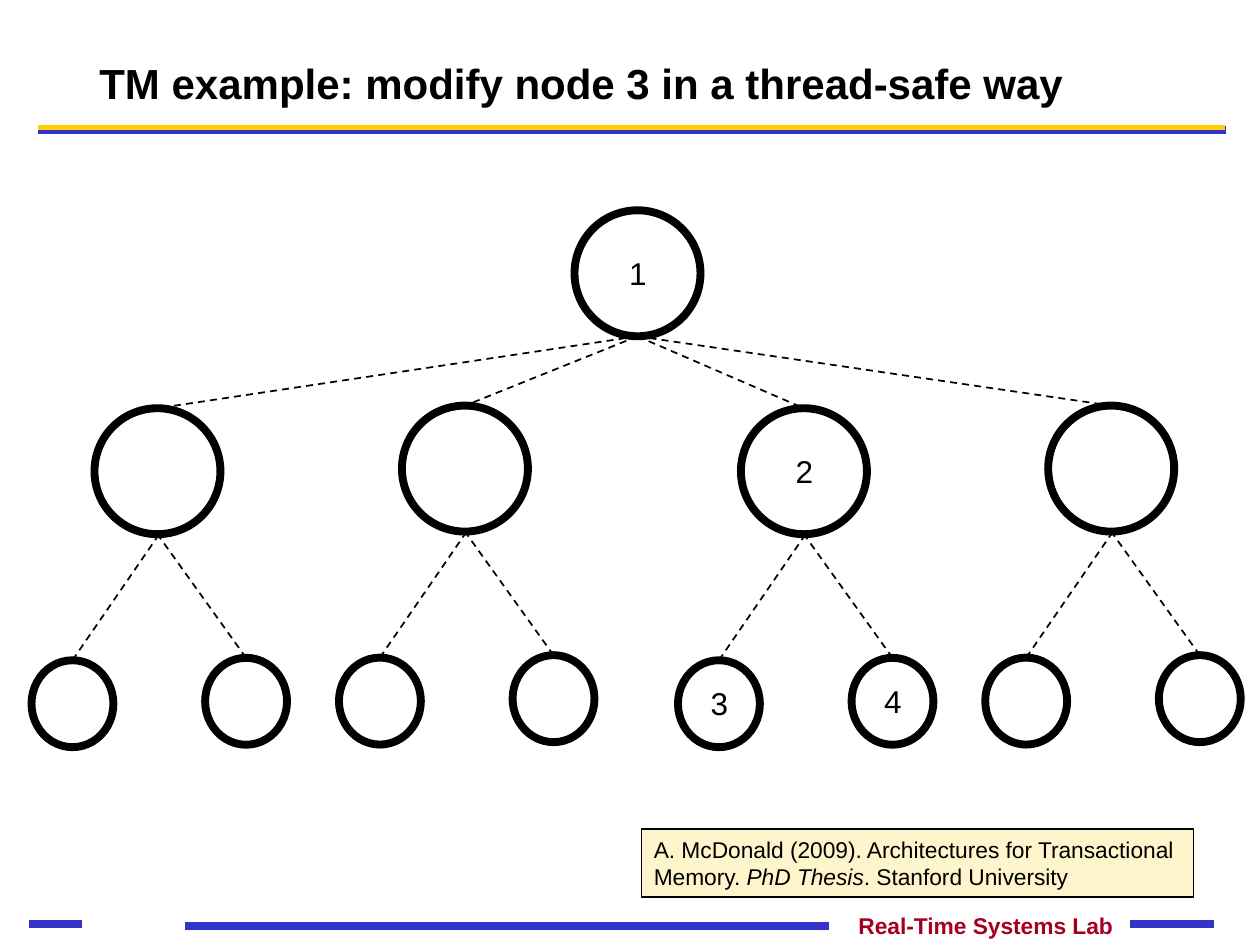
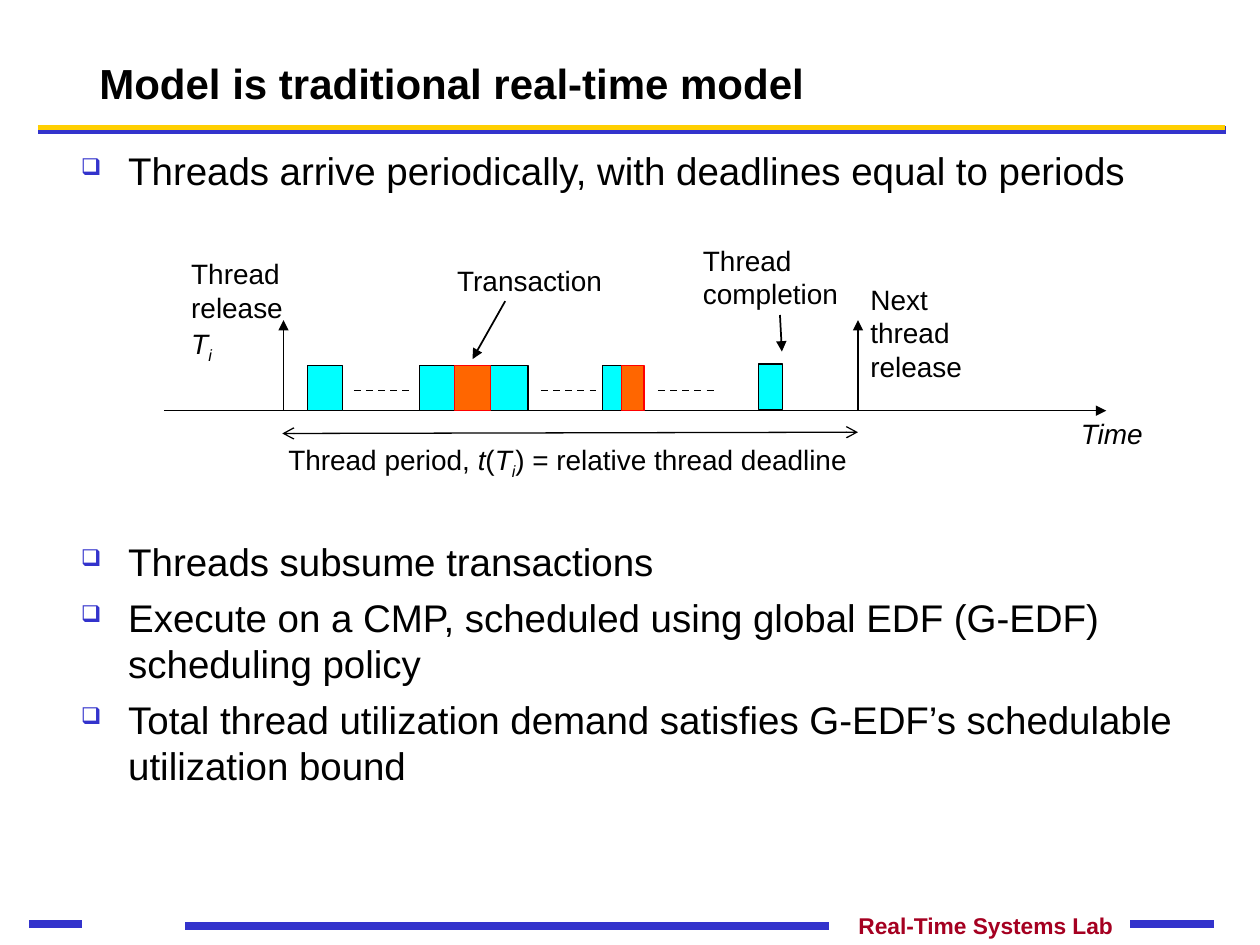
from dataclasses import dataclass

import lxml.etree
import pptx
import pptx.dml.color
import pptx.enum.dml
import pptx.enum.shapes
import pptx.enum.text
import pptx.oxml.ns
import pptx.util

Pt = pptx.util.Pt
Align = pptx.enum.text.PP_ALIGN
Anchor = pptx.enum.text.MSO_ANCHOR
Preset = pptx.enum.shapes.MSO_SHAPE
qn = pptx.oxml.ns.qn

FONT = "Arial"
LINE_PITCH = 1.2
COLORS = {
    "text": "000000", "bar": "3333CC", "rule": "FFCF01", "lab": "A50021",
    "note": "FFF5CC", "run": "00FFFF", "transaction": "FF6600",
    "transaction edge": "FF0000",
}


@dataclass(frozen=True)
class Span:
    text: str
    italic: bool = False
    subscript: bool = False


@dataclass(frozen=True)
class Line:
    x1: float
    y1: float
    x2: float
    y2: float
    color: str = "text"
    width: float = 1
    dashed: bool = False
    head: str = ""
    tail: str = ""


@dataclass(frozen=True)
class Segment:
    """A stretch of execution on the timeline."""
    left: float
    width: float
    kind: str = "run"
    top: float = 208.8


@dataclass(frozen=True)
class Label:
    left: float
    top: float
    width: float
    height: float
    paragraphs: list


@dataclass(frozen=True)
class Subtree:
    left: float
    top: float
    names: tuple = ("", "", "")


FRAME_LINES = [
    Line(21.6, 74.2, 700.5, 74.2, "bar", 4.5),
    Line(105.8, 529.2, 473.8, 529.2, "bar", 4.5),
    Line(645.8, 527.8, 694, 527.8, "bar", 4.5),
    Line(21.6, 72.7, 700, 72.7, "rule", 3),
    Line(16.6, 527.8, 46.8, 527.8, "bar", 4.5),
]

NODE = 72
LEAF_WIDTH, LEAF_HEIGHT = 46.8, 49.7
ROOT_LEFT, ROOT_TOP = 328.3, 120.2
SUBTREES = [
    Subtree(54, 233.3),
    Subtree(229.7, 231.8),
    Subtree(423.4, 233.3, ("2", "3", "4")),
    Subtree(599, 231.8),
]

AXIS = 234.7
ARROW_TOP = 182.9
RELEASE, NEXT_RELEASE = 162, 490.3
TIMELINE = [
    Line(93.6, AXIS, 632.2, AXIS, width=0.75, tail="triangle"),
    Line(RELEASE, AXIS, RELEASE, ARROW_TOP, tail="triangle"),
    Line(NEXT_RELEASE, AXIS, NEXT_RELEASE, ARROW_TOP, tail="triangle"),
    Line(445.7, 180, 446.8, 200.9, tail="triangle"),
    Line(288.7, 172.1, 270, 205.2, tail="triangle"),
    Line(161.3, 247.7, NEXT_RELEASE, 247, width=0.75, head="arrow", tail="arrow"),
    *(Line(x, 223.2, x + 32.2, 223.2, dashed=True) for x in (202.2, 309.1, 376)),
]
SEGMENTS = [
    Segment(175.7, 20.2),
    Segment(239.8, 61.9),
    Segment(259.9, 20.2, "transaction"),
    Segment(344.2, 10.8),
    Segment(355, 13, "transaction"),
    Segment(433.4, 13.7, top=208.1),
]
THREAD = [Span("T", italic=True), Span("i", italic=True, subscript=True)]
LABELS = [
    Label(102.2, 143.3, 74, 90.7, ["Thread release", THREAD]),
    Label(394.6, 135.4, 101.5, 46, ["Thread completion"]),
    Label(490.3, 157.7, 76.3, 65, ["Next thread release"]),
    Label(610.6, 234.7, 56, 26.6, [[Span("Time", italic=True)]]),
    Label(254.2, 146.9, 108, 26.6, ["Transaction"]),
    Label(157.7, 251.9, 349.2, 29.5, [[
        Span("Thread period, "), Span("t", italic=True), Span("("), *THREAD,
        Span(") = relative thread deadline")]]),
]


def rgb(name: str) -> pptx.dml.color.RGBColor:
    return pptx.dml.color.RGBColor.from_string(COLORS[name])


def add_bullet(para) -> None:
    properties = para._p.get_or_add_pPr()
    properties.set("marL", str(Pt(27)))
    properties.set("indent", str(-Pt(27)))
    color = lxml.etree.SubElement(properties, qn("a:buClr"))
    lxml.etree.SubElement(color, qn("a:srgbClr"), val=COLORS["bar"])
    lxml.etree.SubElement(properties, qn("a:buSzPct"), val="60000")
    lxml.etree.SubElement(properties, qn("a:buChar"), char="❑")


def write(box, paragraphs: list, *, size: float, color: str = "text",
          bold: bool = False, align=Align.LEFT, anchor=Anchor.TOP,
          wrap: bool = True, bullets: bool = False, gaps: tuple = ()) -> None:
    """Fill a box; each paragraph is a string or a list of spans.

    gaps holds the space before each paragraph after the first.
    """
    frame = box.text_frame
    frame.word_wrap = wrap
    frame.vertical_anchor = anchor
    frame.margin_left = frame.margin_right = Pt(7.2)
    frame.margin_top = frame.margin_bottom = Pt(3.6)
    for index, content in enumerate(paragraphs):
        para = frame.add_paragraph() if index else frame.paragraphs[0]
        if bullets:
            add_bullet(para)
        para.alignment = align
        para.line_spacing = Pt(size * LINE_PITCH)
        para.space_before = Pt(gaps[index - 1] if index else 0)
        for part in [Span(content)] if isinstance(content, str) else content:
            span = para.add_run()
            span.text = part.text
            span.font.name = FONT
            span.font.size = Pt(size)
            span.font.bold = bold
            span.font.italic = part.italic
            span.font.color.rgb = rgb(color)
            if part.subscript:
                span._r.get_or_add_rPr().set("baseline", "-25000")


def add_text(page, left: float, top: float, width: float, height: float,
             paragraphs: list, **style) -> None:
    box = page.shapes.add_textbox(Pt(left), Pt(top), Pt(width), Pt(height))
    write(box, paragraphs, **style)


def add_figure(page, preset, left: float, top: float, width: float, height: float,
               *, fill: str = "", edge: str = "text", weight: float = 0.75):
    figure = page.shapes.add_shape(preset, Pt(left), Pt(top), Pt(width), Pt(height))
    figure.shadow.inherit = False
    if fill:
        figure.fill.solid()
        figure.fill.fore_color.rgb = rgb(fill)
    else:
        figure.fill.background()
    figure.line.color.rgb = rgb(edge)
    figure.line.width = Pt(weight)
    return figure


def add_line(page, line: Line) -> None:
    connector = page.shapes.add_connector(
        pptx.enum.shapes.MSO_CONNECTOR.STRAIGHT,
        Pt(line.x1), Pt(line.y1), Pt(line.x2), Pt(line.y2))
    connector.line.color.rgb = rgb(line.color)
    connector.line.width = Pt(line.width)
    if line.dashed:
        connector.line.dash_style = pptx.enum.dml.MSO_LINE.DASH
    properties = connector._element.spPr
    outline = properties.find(qn("a:ln"))
    for tag, arrow in (("a:headEnd", line.head), ("a:tailEnd", line.tail)):
        if arrow:
            lxml.etree.SubElement(outline, qn(tag), type=arrow)
    lxml.etree.SubElement(properties, qn("a:effectLst"))


def add_page(deck, title: str):
    """Add a slide with the shared rules, footer and title."""
    page = deck.slides.add_slide(deck.slide_layouts[6])
    for line in FRAME_LINES:
        add_line(page, line)
    add_text(page, 483.1, 517.7, 159.8, 23, ["Real-Time Systems Lab"],
             size=13, color="lab", bold=True, align=Align.RIGHT, wrap=False)
    add_text(page, 49.7, 17.3, 606.2, 48.2, [title],
             size=24, bold=True, anchor=Anchor.BOTTOM)
    return page


def add_node(page, left: float, top: float, width: float, height: float,
             name: str) -> None:
    add_figure(page, Preset.OVAL, left, top, width, height, weight=4.5)
    if name:
        add_text(page, left + width / 2 - 12, top + height / 2 - 14.8, 24.5, 28.8,
                 [name], size=18, align=Align.CENTER, wrap=False)


def add_subtree(page, subtree: Subtree) -> None:
    """Draw a node, its edge to the root and its two leaves."""
    middle = subtree.left + NODE / 2
    bottom = subtree.top + NODE
    parent, *children = subtree.names
    add_line(page, Line(ROOT_LEFT + NODE / 2, ROOT_TOP + NODE,
                        middle, subtree.top, dashed=True))
    add_node(page, subtree.left, subtree.top, NODE, NODE, parent)
    for name, shift, drop, edge_gap in zip(children, (-72, 27.2), (72, 70.6), (1.4, 0)):
        left, top = middle + shift, bottom + drop
        add_node(page, left, top, LEAF_WIDTH, LEAF_HEIGHT, name)
        add_line(page, Line(left + LEAF_WIDTH / 2, top,
                            middle, bottom + edge_gap, dashed=True))


def build_tree_page(deck) -> None:
    page = add_page(deck, "TM example: modify node 3 in a thread-safe way")
    add_node(page, ROOT_LEFT, ROOT_TOP, NODE, NODE, "1")
    for subtree in SUBTREES:
        add_subtree(page, subtree)
    citation = add_figure(page, Preset.RECTANGLE, 366.5, 473.8, 315.4, 38.9, fill="note")
    write(citation, [[
        Span("A. McDonald (2009). Architectures for Transactional Memory. "),
        Span("PhD Thesis", italic=True), Span(". Stanford University")]], size=13)


def build_model_page(deck) -> None:
    page = add_page(deck, "Model is traditional real-time model")
    size, gap = 22, 5.5
    diagram_gap = 6 * (size * LINE_PITCH + gap) + gap
    add_text(page, 39.2, 80.6, 643, 388.8, [
        "Threads arrive periodically, with deadlines equal to periods",
        "Threads subsume transactions",
        "Execute on a CMP, scheduled using global EDF (G-EDF) scheduling policy",
        "Total thread utilization demand satisfies G-EDF’s schedulable utilization bound",
    ], size=size, bullets=True, gaps=(diagram_gap, gap, gap))
    for line in TIMELINE:
        add_line(page, line)
    for segment in SEGMENTS:
        edge = "text" if segment.kind == "run" else "transaction edge"
        add_figure(page, Preset.RECTANGLE, segment.left, segment.top,
                   segment.width, 25.9, fill=segment.kind, edge=edge)
    for label in LABELS:
        add_text(page, label.left, label.top, label.width, label.height,
                 label.paragraphs, size=16, gaps=(4,))


def main() -> None:
    deck = pptx.Presentation()
    deck.slide_width, deck.slide_height = Pt(720), Pt(540)
    build_tree_page(deck)
    build_model_page(deck)
    deck.save("out.pptx")


if __name__ == "__main__":
    main()
